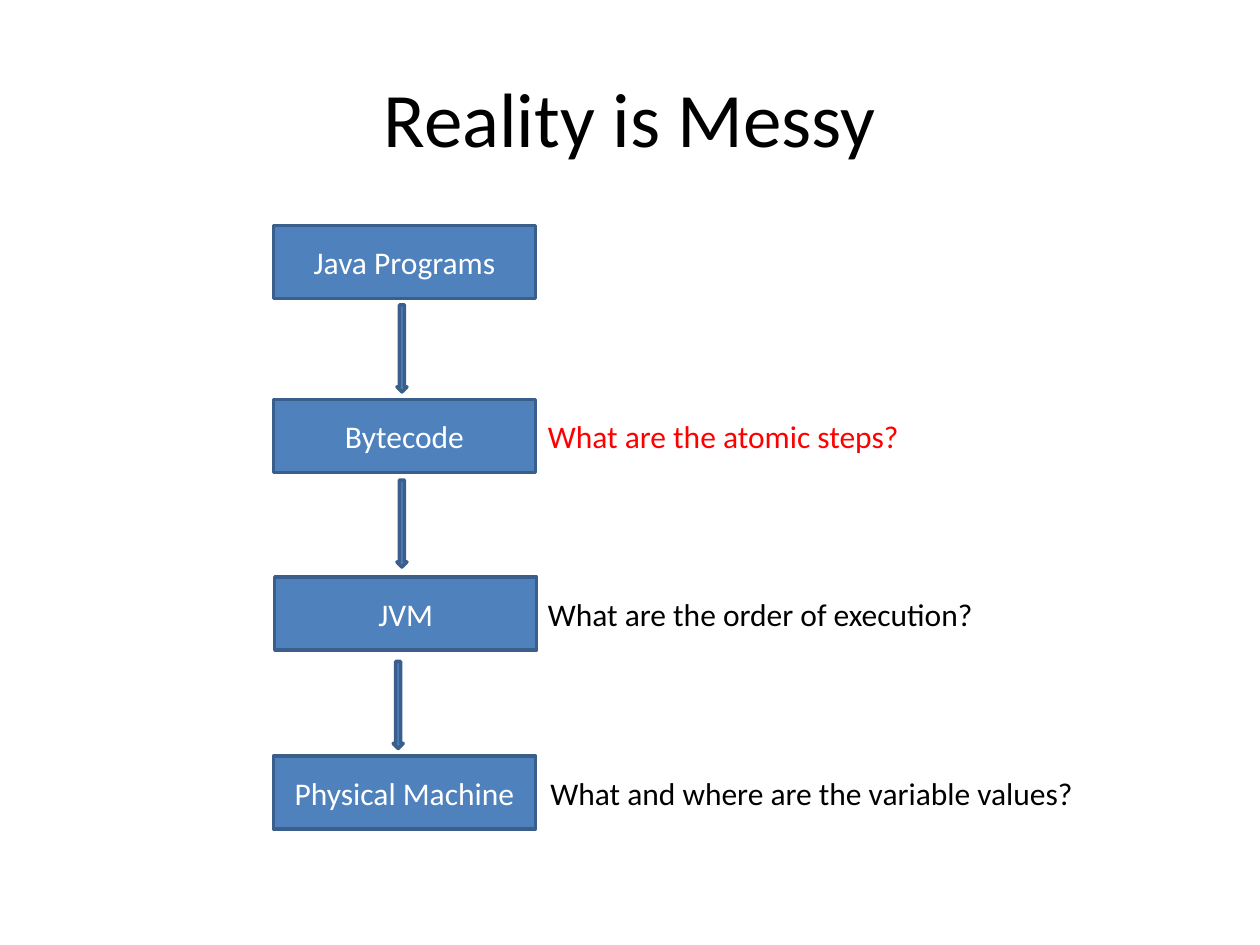
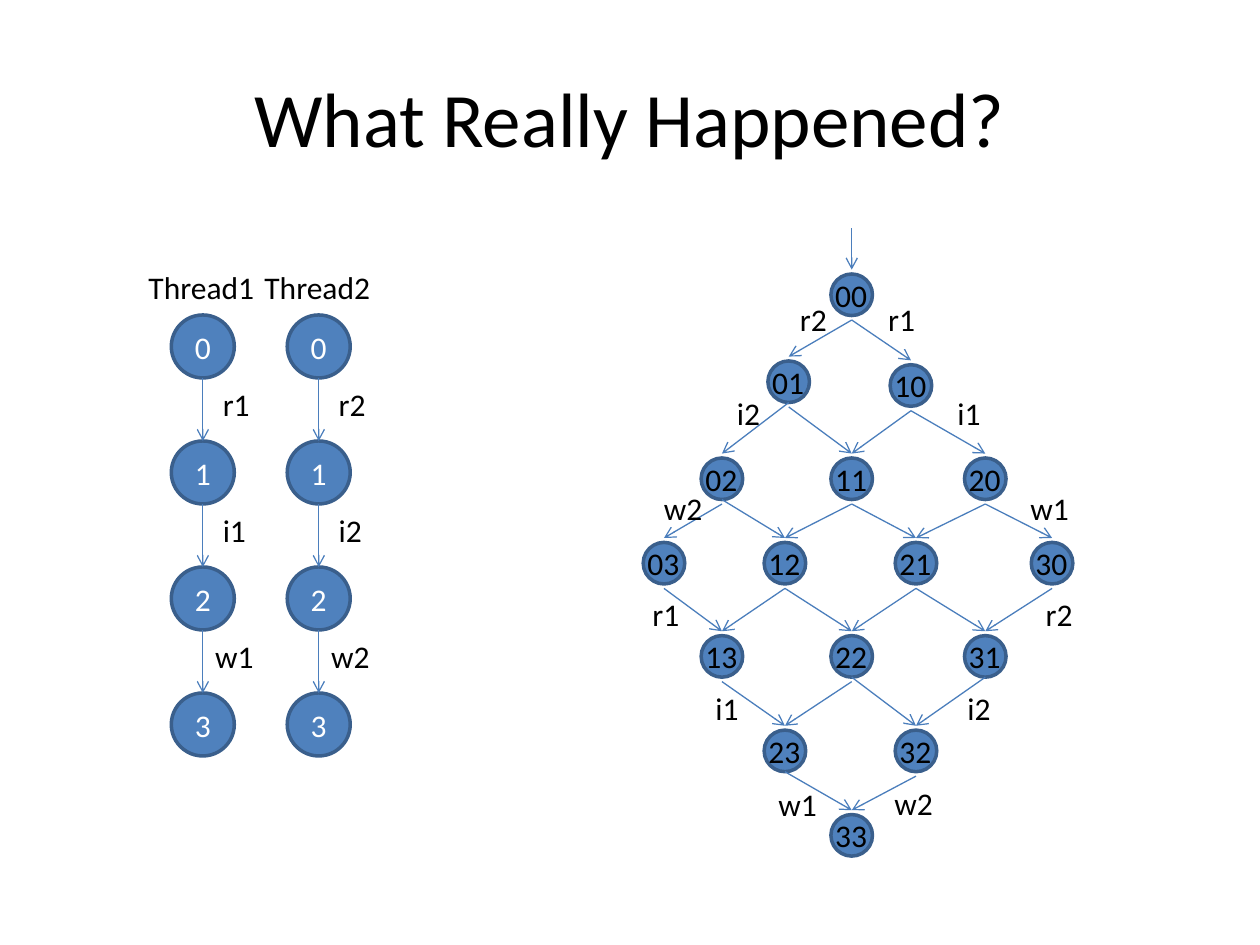
from dataclasses import dataclass
from itertools import product

from lxml import etree
from pptx import Presentation
from pptx.dml.color import RGBColor
from pptx.enum.shapes import MSO_CONNECTOR, MSO_SHAPE
from pptx.enum.text import MSO_ANCHOR, MSO_AUTO_SIZE, PP_ALIGN
from pptx.oxml.ns import qn
from pptx.util import Inches, Pt

RECT, OVAL, DOWN = MSO_SHAPE.RECTANGLE, MSO_SHAPE.OVAL, MSO_SHAPE.DOWN_ARROW
STRAIGHT = MSO_CONNECTOR.STRAIGHT
LEFT, CENTER = PP_ALIGN.LEFT, PP_ALIGN.CENTER
TOP, MIDDLE = MSO_ANCHOR.TOP, MSO_ANCHOR.MIDDLE
GROW, FIXED = MSO_AUTO_SIZE.SHAPE_TO_FIT_TEXT, MSO_AUTO_SIZE.NONE


@dataclass(frozen=True)
class Theme:
    """Colours, font, type sizes and line widths of the deck."""
    font: str = "Calibri"
    title: int = 44
    body: int = 18
    ink: str = "000000"
    paper: str = "FFFFFF"
    alert: str = "FF0000"
    fill: str = "4F81BD"
    border: str = "3A5F8C"
    edge: str = "4B7EBC"
    border_pt: float = 2
    edge_pt: float = 0.75


T = Theme()
SLIDE_W, SLIDE_H = 10, 7.5
TEXT_H = 0.4

# Slide 1: layer, left, top, then its question as (text, left, width, colour)
LAYERS = [
    ("Java Programs", 2.17, 1.79, None),
    ("Bytecode", 2.17, 3.17, ("What are the atomic steps?", 4.25, 3.02, T.alert)),
    ("JVM", 2.18, 4.58, ("What are the order of execution?", 4.25, 3.62, T.ink)),
    ("Physical Machine", 2.17, 6,
     ("What and where are the variable values?", 4.27, 4.46, T.ink)),
]
LAYER_SIZE = (2.08, 0.58)
LAYER_ARROWS = [(3.15, 2.42), (3.15, 3.81), (3.12, 5.25)]
ARROW_SIZE = (0.08, 0.69)

# Slide 2, left: each thread runs through states 0 to 3
THREADS = [("Thread1", ["r1", "i1", "w1"]), ("Thread2", ["r2", "i2", "w2"])]
THREAD_X, THREAD_GAP = 1.61, 0.92
STEP_Y, STEP_GAP, STEP_D = 2.75, 1, 0.5

# Slide 2, right: state ij sits in column i - j and row i + j
COLUMNS = {-3: 5.27, -2: 5.73, -1: 6.23, 0: 6.76, 1: 7.27, 2: 7.82, 3: 8.35}
ROWS = [2.34, 3.03, 3.8, 4.47, 5.21, 5.96, 6.63]
NUDGES = {(0, 1): (0.03, 0), (1, 0): (-0.04, 0.03)}
STATE_D, STATE_W = 0.33, 0.46
LAST = 3
CLOSE_STARTS = {((0, 1), (0, 2)), ((0, 2), (1, 2)), ((3, 1), (3, 2)),
                ((2, 2), (3, 2)), ((2, 3), (3, 3))}
MOVES = [
    ("r2", 6.25, 2.33), ("i2", 5.75, 3.08), ("w2", 5.17, 3.83),
    ("r1", 5.08, 4.67), ("i1", 5.58, 5.42), ("w1", 6.08, 6.18),
    ("r1", 6.95, 2.33), ("i1", 7.5, 3.08), ("w1", 8.08, 3.83),
    ("r2", 8.2, 4.67), ("i2", 7.58, 5.42), ("w2", 7, 6.17),
]


def write(sp, text, size=T.body, color=T.ink, align=LEFT, anchor=TOP,
          wrap=True, fit=FIXED):
    """Put one formatted paragraph into a shape."""
    tf = sp.text_frame
    for name, value in dict(word_wrap=wrap, auto_size=fit,
                            vertical_anchor=anchor).items():
        setattr(tf, name, value)
    p = tf.paragraphs[0]
    p.alignment = align
    r = p.add_run()
    r.text = text
    for name, value in dict(name=T.font, size=Pt(size)).items():
        setattr(r.font, name, value)
    r.font.color.rgb = RGBColor.from_string(color)


def add_text(shapes, text, x, y, w, h=TEXT_H, **fmt):
    """Add a text box at a place in inches."""
    box = shapes.add_textbox(*map(Inches, (x, y, w, h)))
    write(box, text, **{"fit": GROW, **fmt})


def add_block(shapes, kind, x, y, w, h, text=None):
    """Add a blue bordered shape, with centred white text if given."""
    sp = shapes.add_shape(kind, *map(Inches, (x, y, w, h)))
    sp.shadow.inherit = False
    sp.fill.solid()
    sp.fill.fore_color.rgb = RGBColor.from_string(T.fill)
    sp.line.color.rgb = RGBColor.from_string(T.border)
    sp.line.width = Pt(T.border_pt)
    if text:
        write(sp, text, color=T.paper, align=CENTER, anchor=MIDDLE)


def add_arrow(shapes, x1, y1, x2, y2):
    """Add a thin line with an open arrowhead at its end."""
    line = shapes.add_connector(STRAIGHT, *map(Inches, (x1, y1, x2, y2)))
    line.line.color.rgb = RGBColor.from_string(T.edge)
    line.line.width = Pt(T.edge_pt)
    etree.SubElement(line.line._get_or_add_ln(), qn("a:tailEnd"), type="arrow")
    etree.SubElement(line._element.spPr, qn("a:effectLst"))


def add_slide(prs, title):
    """Add a blank slide with the shared title and return its shapes."""
    shapes = prs.slides.add_slide(prs.slide_layouts[6]).shapes
    add_text(shapes, title, SLIDE_W * 0.05, SLIDE_H * 0.04, SLIDE_W * 0.9, 1.25,
             size=T.title, align=CENTER, anchor=MIDDLE, fit=FIXED)
    return shapes


def move_width(text):
    """Give the wide letter w more room than r and i."""
    return 0.58 if text.startswith("w") else 0.47


def draw_layers(shapes):
    """Draw the stack of layers, its arrows and the questions beside it."""
    for name, x, y, question in LAYERS:
        add_block(shapes, RECT, x, y, *LAYER_SIZE, name)
        if question:
            text, left, width, color = question
            add_text(shapes, text, left, y + 0.09, width, color=color, wrap=False)
    for x, y in LAYER_ARROWS:
        add_block(shapes, DOWN, x, y, *ARROW_SIZE)


def draw_thread(shapes, name, moves, x):
    """Draw one thread as a column of numbered steps around x."""
    radius = STEP_D / 2
    add_text(shapes, name, x - 0.53, 2.08, 1.05, wrap=False)
    for step in range(len(moves) + 1):
        y = STEP_Y + step * STEP_GAP
        add_block(shapes, OVAL, x - radius, y - radius, STEP_D, STEP_D, str(step))
    for step, move in enumerate(moves):
        y = STEP_Y + step * STEP_GAP + radius
        add_arrow(shapes, x, y, x, y + STEP_GAP - STEP_D)
        indent = 0 if move.startswith("w") else 0.06
        add_text(shapes, move, x + indent, y + 0.01, move_width(move))


def state_center(i, j):
    """Return the centre of state ij in the lattice."""
    dx, dy = NUDGES.get((i, j), (0, 0))
    return COLUMNS[i - j] + dx, ROWS[i + j] + dy


def draw_lattice(shapes):
    """Draw all interleavings of both threads as a lattice of states."""
    states = sorted(product(range(LAST + 1), repeat=2), key=sum)
    reach = TEXT_H / 2
    for i, j in states:
        x, y = state_center(i, j)
        group = shapes.add_group_shape().shapes
        add_block(group, OVAL, x - STATE_D / 2, y - STATE_D / 2, STATE_D, STATE_D)
        add_text(group, f"{i}{j}", x - STATE_W / 2, y - reach, STATE_W, wrap=False)
    x, y = state_center(0, 0)
    add_arrow(shapes, x, 1.81, x, y - reach)
    for i, j in states:
        x, y = state_center(i, j)
        for target in ((i, j + 1), (i + 1, j)):
            if max(target) <= LAST:
                start = STATE_D / 2 if ((i, j), target) in CLOSE_STARTS else reach
                to_x, to_y = state_center(*target)
                add_arrow(shapes, x, y + start, to_x, to_y - reach)
    for move, left, top in MOVES:
        add_text(shapes, move, left, top, move_width(move))


prs = Presentation()
prs.slide_width, prs.slide_height = Inches(SLIDE_W), Inches(SLIDE_H)

draw_layers(add_slide(prs, "Reality is Messy"))

shapes = add_slide(prs, "What Really Happened?")
for column, (name, moves) in enumerate(THREADS):
    draw_thread(shapes, name, moves, THREAD_X + column * THREAD_GAP)
draw_lattice(shapes)

prs.save("out.pptx")
